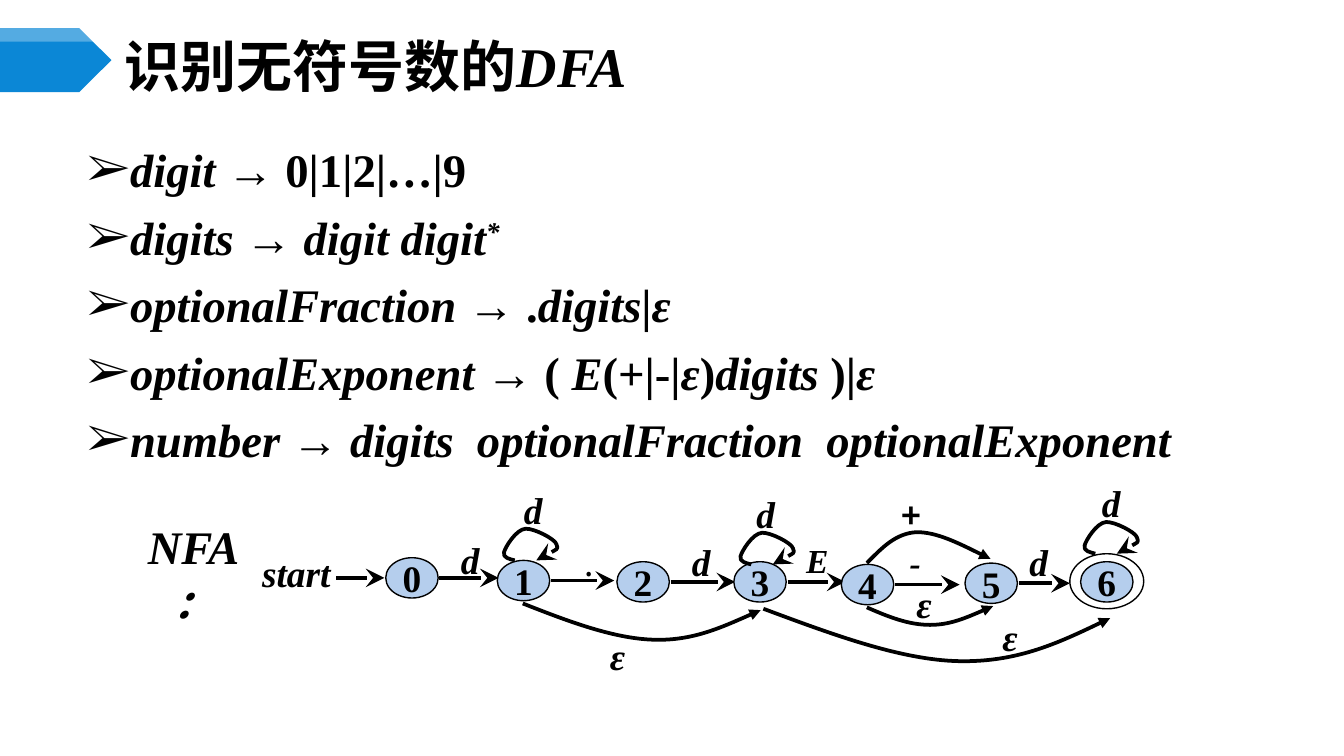
from lxml import etree
from pptx import Presentation
from pptx.dml.color import RGBColor
from pptx.enum.shapes import MSO_CONNECTOR, MSO_SHAPE
from pptx.enum.text import MSO_ANCHOR, MSO_AUTO_SIZE, PP_ALIGN
from pptx.oxml.ns import qn
from pptx.util import Inches, Pt

CELL = Inches(0.1)
SLIDE_COLS, SLIDE_ROWS = 100, 56.25
ELLIPSE, STRAIGHT = MSO_SHAPE.OVAL, MSO_CONNECTOR.STRAIGHT
LEFT, CENTER = PP_ALIGN.LEFT, PP_ALIGN.CENTER
TOP, MIDDLE, NO_FIT = MSO_ANCHOR.TOP, MSO_ANCHOR.MIDDLE, MSO_AUTO_SIZE.NONE
SERIF, SANS = "Times New Roman", "Noto Sans CJK SC"
BLACK, STATE_BLUE, BADGE_BLUE, WHITE = "000000", "B5CEED", "0B87D6", "FFFFFF"
LARGE_HEAD, SMALL_HEAD = ("stealth", "lg"), ("triangle", "med")

GRAMMAR = [
    ["digit ", "→ 0|1|2|…|9"],
    ["digits ", "→ ", "digit digit", "*"],
    ["optionalFraction ", "→ .", "digits", "|", "ε"],
    ["optionalExponent ", "→ ( ", "E", "(+|-|", "ε", ")", "digits ", ")|", "ε"],
    ["number", " → ", "digits  optionalFraction  optionalExponent"],
]
STATE_SIZE = (3.9, 3)
STATES = [(19.7, 5.5, 19.6), (28, 5.7, 28.1), (36.9, 5.8, 36.7), (45.6, 5.8, 45.7),
          (53.6, 6, 53.9), (62.8, 5.9, 62.4), (71.4, 5.8, 70.6)]
LOOPS = [(29.3, 5.7, -0.3), (46.9, 6, -0.6), (72.5, 5.2, -0.5)]
LOOP_PATH = [(0, 0), (-0.4, -0.1), (-0.9, -0.2), (-0.8, -0.6),
             (-0.7, -1), (0.1, -2.3), (0.8, -2.35),
             (1.4, -2.4), (3, -1.6), (3.1, -1.2), (3.3, -0.8), (2.4, -0.4), (1.6, 0)]
JUMPS = [
    [(29.9, 8.9), (33.2, 10.2), (36.6, 11.5), (39.6, 11.6), (42.5, 11.7), (45.1, 10.5), (47.6, 9.4)],
    [(55.5, 5.9), (56.6, 4.8), (57.6, 3.7), (59.2, 3.6), (60.7, 3.6), (62.7, 4.6), (64.7, 5.6)],
    [(55.5, 9.2), (57.1, 9.9), (58.6, 10.5), (60.2, 10.5), (61.7, 10.5), (63.3, 9.8), (64.9, 9.1)],
    [(47.8, 9.3), (52.9, 11.2), (58, 13.1), (62.3, 13.2), (66.6, 13.3), (70.1, 11.7), (73.6, 10)],
]
SERIF_LABEL = {"size": Pt(20), "name": SERIF, "bold": True, "italic": True}
SMALL_LABEL = {**SERIF_LABEL, "size": Pt(18)}
SANS_LABEL = {"size": Pt(18), "name": SANS, "bold": False}
LABELS = [
    ("d", 24.3, 4.4, SERIF_LABEL), (".", 33.5, 4.7, SANS_LABEL),
    ("d", 41.5, 4.6, SERIF_LABEL), ("E", 50, 4.45, SMALL_LABEL),
    ("-", 57.7, 4.6, SMALL_LABEL), ("d", 66.6, 4.6, SERIF_LABEL),
    ("+", 57.1, 1.1, {**SANS_LABEL, "bold": True}), ("ε", 35.4, 11.6, SERIF_LABEL),
    ("ε", 58.2, 7.7, SERIF_LABEL), ("ε", 64.6, 10.2, SERIF_LABEL),
]


def color(hex_code):
    """Turn a hex string into a colour."""
    return RGBColor.from_string(hex_code)


def cells(*lengths):
    """Turn grid cells into slide lengths."""
    return [round(length * CELL) for length in lengths]


def add_run(paragraph, text, formats):
    """Append one formatted run and return it."""
    run = paragraph.add_run()
    run.text = text
    for attribute, value in formats.items():
        setattr(run.font, attribute, value)
    run.font.color.rgb = color(BLACK)
    east_asian = etree.SubElement(run._r.get_or_add_rPr(), qn("a:ea"))
    east_asian.set("typeface", formats["name"])
    return run


def set_frame(shape, wrap=False, anchor=MIDDLE, align=CENTER):
    """Format a text frame and return its first paragraph."""
    layout = {"word_wrap": wrap, "auto_size": NO_FIT, "vertical_anchor": anchor}
    for attribute, value in layout.items():
        setattr(shape.text_frame, attribute, value)
    paragraph = shape.text_frame.paragraphs[0]
    paragraph.alignment = align
    return paragraph


def add_label(slide, text, box, formats, align=LEFT, wrap=False):
    """Place a one-paragraph text box."""
    label = slide.shapes.add_textbox(*cells(*box))
    add_run(set_frame(label, wrap, align=align), text, formats)


def draw_line(shape, width, head=None):
    """Give a shape or connector a black line with an optional arrowhead."""
    shape.line.color.rgb = color(BLACK)
    shape.line.width = Pt(width)
    if head:
        kind, size = head
        tail = etree.SubElement(shape.line._get_or_add_ln(), qn("a:tailEnd"))
        for key, value in {"type": kind, "w": size, "len": size}.items():
            tail.set(key, value)


def add_outline(slide, points, closed):
    """Build a freeform through grid points."""
    start, *rest = [cells(*point) for point in points]
    builder = slide.shapes.build_freeform(*start)
    builder.add_line_segments(rest, close=closed)
    outline = builder.convert_to_shape()
    outline.shadow.inherit = False
    return outline


def add_curve(slide, points, origin, head):
    """Draw an arrow along cubic curves, three points to each."""
    left, top = origin
    curve = add_outline(slide, [(left + x, top + y) for x, y in points], False)
    curve.fill.background()
    draw_line(curve, 2, head)
    segments = list(curve._element.iter(qn("a:lnTo")))
    for first in range(0, len(segments), 3):
        bend = etree.Element(qn("a:cubicBezTo"))
        segments[first].addprevious(bend)
        for segment in segments[first:first + 3]:
            bend.append(segment[0])
            segment.getparent().remove(segment)


def add_arrow(slide, start, end, row):
    """Draw a horizontal arrow between two columns."""
    arrow = slide.shapes.add_connector(STRAIGHT, *cells(start, row, end, row))
    draw_line(arrow, 2, LARGE_HEAD)
    etree.SubElement(arrow._element.spPr, qn("a:effectLst"))


def add_ellipse(slide, box, fill=None):
    """Draw a thinly outlined ellipse."""
    ellipse = slide.shapes.add_shape(ELLIPSE, *cells(*box))
    ellipse.shadow.inherit = False
    if fill:
        ellipse.fill.solid()
        ellipse.fill.fore_color.rgb = color(fill)
    else:
        ellipse.fill.background()
    draw_line(ellipse, 0.75)
    return ellipse


def place_badge(slide, box):
    """Draw the pointed badge with its pale upper band."""
    left, top, width, height = box
    for depth, tip, fill in [(height, 2.4, BADGE_BLUE), (1, 0.5, WHITE)]:
        right, shoulder = left + width, left + width - tip
        badge = add_outline(slide, [(left, top), (shoulder, top), (right, top + depth / 2),
                                    (shoulder, top + depth), (left, top + depth)], True)
        badge.fill.solid()
        badge.fill.fore_color.rgb = color(fill)
        badge.line.fill.background()
    alpha = etree.SubElement(next(badge._element.spPr.iter(qn("a:srgbClr"))), qn("a:alpha"))
    alpha.set("val", "30000")


def place_title(slide, box):
    """Move and write the title."""
    title = slide.shapes.title
    title.left, title.top, title.width, title.height = cells(*box)
    heading = set_frame(title, True, align=LEFT)
    formats = {"size": Pt(30), "bold": True}
    add_run(heading, "识别无符号数的", {**formats, "name": SANS})
    add_run(heading, "DFA", {**formats, "name": SERIF, "italic": True})


def place_grammar(slide, box):
    """List the grammar rules, italic and upright in turn."""
    grammar = slide.shapes.add_textbox(*cells(*box))
    set_frame(grammar, True, TOP)
    for index, rule in enumerate(GRAMMAR):
        frame = grammar.text_frame
        paragraph = frame.add_paragraph() if index else frame.paragraphs[0]
        paragraph.alignment, paragraph.space_before = LEFT, Pt(6.2)
        properties = paragraph._p.get_or_add_pPr()
        properties.set("marL", str(3 * CELL))
        properties.set("indent", str(-3 * CELL))
        etree.SubElement(properties, qn("a:buFont")).set("typeface", SERIF)
        etree.SubElement(properties, qn("a:buChar")).set("char", "➢")
        for turn, piece in enumerate(rule):
            starred = piece == "*"
            run = add_run(paragraph, piece, {**SERIF_LABEL, "size": Pt(25),
                                             "italic": starred or turn % 2 == 0})
            if starred:
                run._r.get_or_add_rPr().set("baseline", "30000")


def place_automaton(slide, box):
    """Draw the states, transitions and labels of the automaton."""
    left, top = box[:2]
    width, height = STATE_SIZE
    add_label(slide, "NFA：", (left + 0.3, top + 4.8, 10.2, 3.8),
              {**SERIF_LABEL, "size": Pt(25)}, CENTER, True)
    add_label(slide, "start", (left + 10.3, top + 5.4, 5.5, 2.4), SERIF_LABEL, CENTER)
    exits = [(16, STATES[0][1])] + [(x + width + 0.1, y) for x, y, _ in STATES]
    for (start, row), (_, _, entry) in zip(exits, STATES):
        add_arrow(slide, left + start, left + entry, top + row + height / 2)
    add_ellipse(slide, (left + 70.6, top + 5.2, 5.5, 4.1))
    for number, (x, y, _) in enumerate(STATES):
        state = add_ellipse(slide, (left + x, top + y, width, height), STATE_BLUE)
        add_run(set_frame(state), str(number), {**SERIF_LABEL, "italic": False})
    for x, y, shift in LOOPS:
        add_curve(slide, LOOP_PATH, (left + x, top + y), LARGE_HEAD)
        add_label(slide, "d", (left + x + shift, top + y - 5, 5.5, 2.4), SERIF_LABEL)
    for jump in JUMPS:
        add_curve(slide, jump, (left, top), SMALL_HEAD)
    for text, x, y, formats in LABELS:
        add_label(slide, text, (left + x, top + y, 5.5, 2.4), formats)


def main():
    """Build and save the slide."""
    deck = Presentation()
    deck.slide_width, deck.slide_height = cells(SLIDE_COLS, SLIDE_ROWS)
    slide = deck.slides.add_slide(deck.slide_layouts[5])
    place_badge(slide, (0, 2.1, 8.3, 4.75))
    place_title(slide, (8.3, 2.9, 86.7, 3.9))
    place_grammar(slide, (5.5, 10, 82.9, 25.9))
    place_automaton(slide, (9, 36, 78, 14))
    deck.save("out.pptx")


if __name__ == "__main__":
    main()
